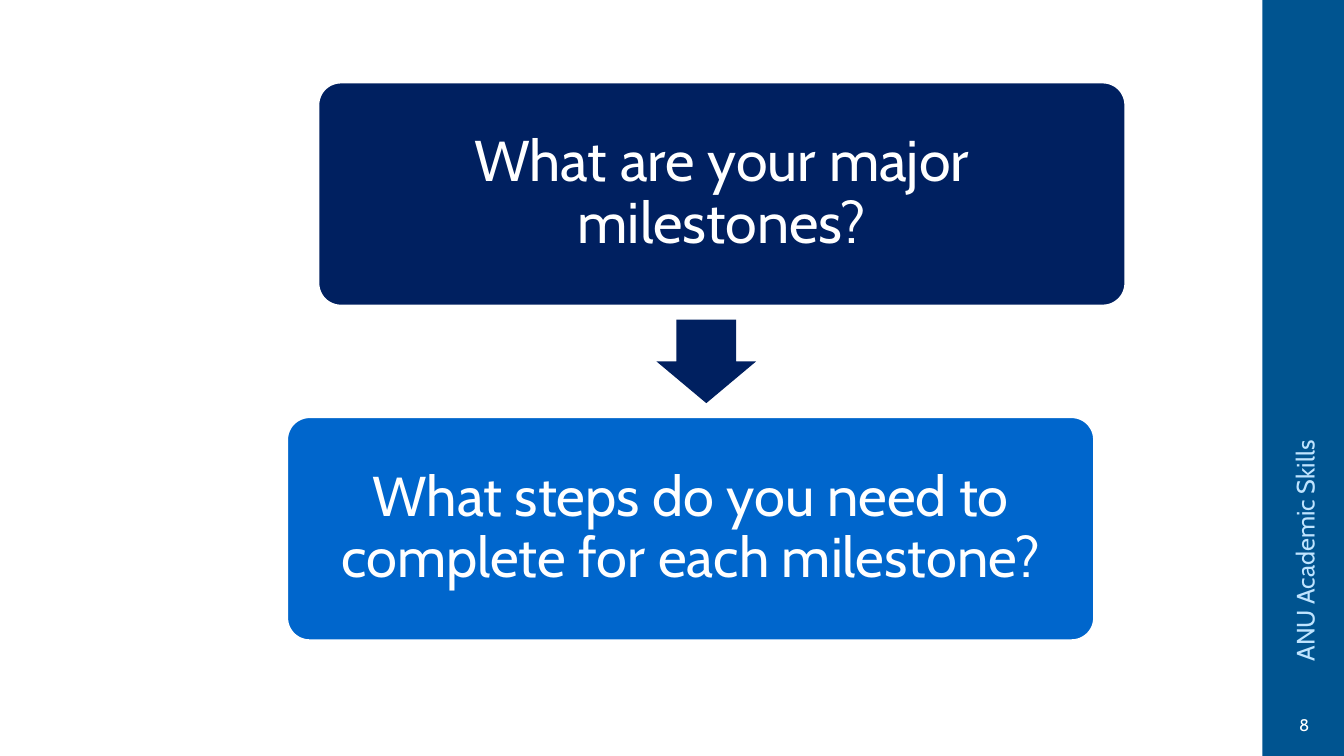
"""Build the milestones slide with two linked question boxes and a side band."""
from pptx import Presentation
from pptx.dml.color import RGBColor
from pptx.enum.shapes import MSO_SHAPE
from pptx.enum.text import MSO_ANCHOR, PP_ALIGN
from pptx.util import Inches, Pt


def add_block(kind, box, fill, line=None):
    sp = s.shapes.add_shape(kind, *map(Inches, box))
    sp.shadow.inherit = False
    sp.fill.solid()
    sp.fill.fore_color.rgb = RGBColor.from_string(fill)
    if line:
        sp.line.color.rgb = RGBColor.from_string(line)
        sp.line.width = Pt(1.1)
    else:
        sp.line.fill.background()
    return sp


def write(sp, text, size, color, align, anchor):
    tf = sp.text_frame
    tf.word_wrap = True
    tf.vertical_anchor = anchor
    p = tf.paragraphs[0]
    p.alignment = align
    r = p.add_run()
    r.text = text
    for name, value in {"name": "Cabin", "size": Pt(size)}.items():
        setattr(r.font, name, value)
    r.font.color.rgb = RGBColor.from_string(color)
    return p


prs = Presentation()
prs.slide_width, prs.slide_height = Inches(13.33), Inches(7.5)
s = prs.slides.add_slide(prs.slide_layouts[6])

add_block(MSO_SHAPE.RECTANGLE, (12.52, 0, 0.83, 7.5), "005490")

questions = [
    ("What are your major milestones?", 3.16, 0.82, "002060", 41),
    ("What steps do you need to complete for each milestone?", 2.85, 4.14, "0066CC", 40),
]
for text, left, top, fill, size in questions:
    sp = add_block(MSO_SHAPE.ROUNDED_RECTANGLE, (left, top, 8, 2.21), fill, "FFFFFF")
    sp.adjustments[0] = 0.1
    for side in ("left", "right", "top", "bottom"):
        setattr(sp.text_frame, f"margin_{side}", Inches(0.17))
    p = write(sp, text, size, "FFFFFF", PP_ALIGN.CENTER, MSO_ANCHOR.MIDDLE)
    p.line_spacing = 0.9

arrow = add_block(MSO_SHAPE.RIGHT_ARROW, (6.59, 3.09, 0.83, 0.99), "002060")
arrow.rotation = 90
arrow.adjustments[0], arrow.adjustments[1] = 0.6, 0.5

labels = [
    ("ANU Academic Skills", (10.46, 3.98, 4.96, 0.4), 270, 18, "BFE4FF", PP_ALIGN.LEFT, MSO_ANCHOR.MIDDLE),
    ("8", (12.65, 7.04, 0.57, 0.33), 0, 12, "FFFFFF", PP_ALIGN.CENTER, MSO_ANCHOR.TOP),
]
for text, box, rotation, size, color, align, anchor in labels:
    sp = s.shapes.add_textbox(*map(Inches, box))
    sp.rotation = rotation
    write(sp, text, size, color, align, anchor)

prs.save("out.pptx")
